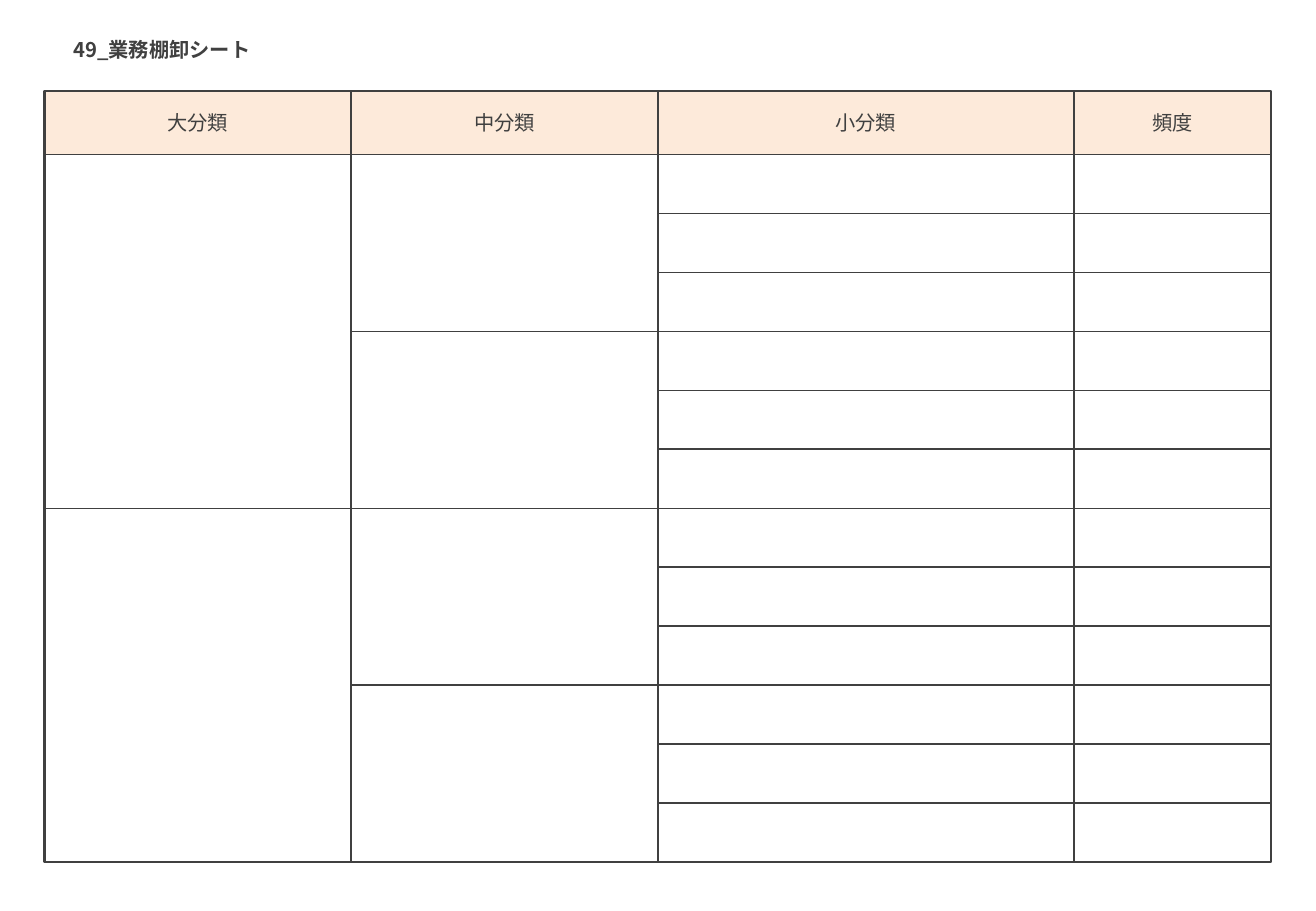
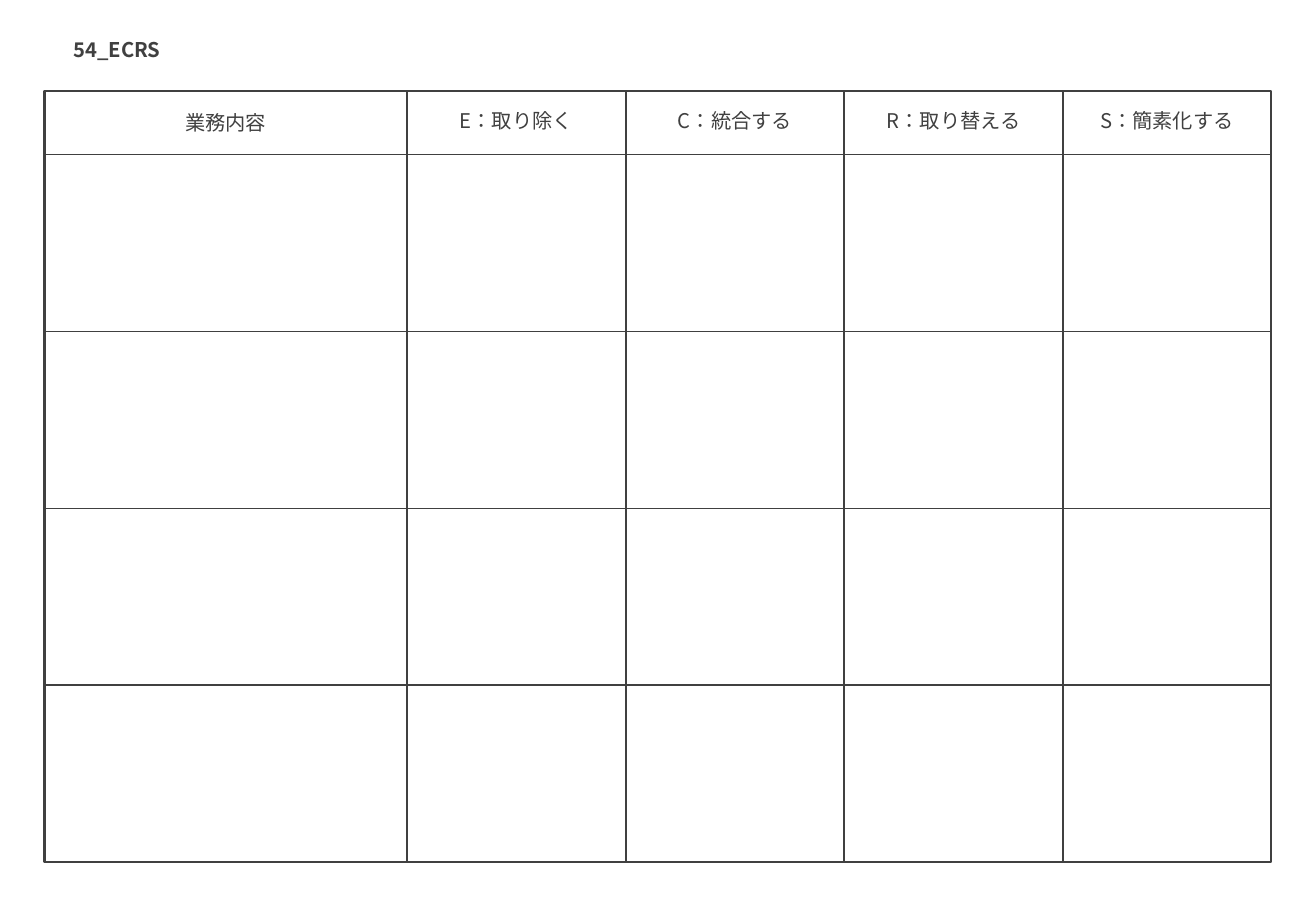
import dataclasses
import itertools

import lxml.etree
import pptx
import pptx.dml.color
import pptx.enum.lang
import pptx.enum.shapes
import pptx.enum.text
import pptx.oxml.ns
import pptx.util

Cm = pptx.util.Cm
Pt = pptx.util.Pt
qn = pptx.oxml.ns.qn

INK = pptx.dml.color.RGBColor(0x40, 0x40, 0x40)
PEACH = pptx.dml.color.RGBColor(0xFD, 0xEA, 0xDA)
FONT = "Noto Sans CJK JP"
FONT_SIZE = Pt(12)
FRAME_LINE = Pt(1.5)
GRID_LINE = Pt(1)
LEFT, TOP = 0.93, 1.9
HEADER_HEIGHT, BODY_HEIGHT = 1.33, 14.8
BODY_TOP = TOP + HEADER_HEIGHT
BOTTOM = BODY_TOP + BODY_HEIGHT
HEADING_HEIGHT = 0.8


@dataclasses.dataclass
class Column:
    """A sheet column: heading, column and heading widths in cm, rows per body cell."""

    heading: str
    width: float
    heading_width: float
    span: int = 1


TASK_COLUMNS = [
    Column("大分類", 6.41, 1.96, span=6),
    Column("中分類", 6.41, 1.96, span=3),
    Column("小分類", 8.7, 1.96),
    Column("頻度", 4.12, 1.5),
]
ECRS_COLUMNS = [
    Column("業務内容", 7.58, 2.3),
    Column("E：取り除く", 4.57, 2.92),
    Column("C：統合する", 4.57, 2.92),
    Column("R：取り替える", 4.57, 3.35),
    Column("S：簡素化する", 4.35, 3.35),
]


def style_paragraph(paragraph, alignment, bold=False):
    """Give a paragraph the shared font, size, colour and language."""
    paragraph.alignment = alignment
    font = paragraph.font
    font.name, font.size, font.bold = FONT, FONT_SIZE, bold
    font.color.rgb = INK
    latin = paragraph._p.pPr.find(qn("a:defRPr")).find(qn("a:latin"))
    latin.addnext(latin.makeelement(qn("a:ea"), {"typeface": FONT}))
    for run in paragraph.runs:
        run.font.language_id = pptx.enum.lang.MSO_LANGUAGE_ID.JAPANESE


def add_title(slide, text):
    """Place the slide title above the sheet."""
    title = slide.shapes.title
    title.left, title.top, title.width, title.height = Cm(1.28), Cm(0.66), Cm(4.4), Cm(0.76)
    frame = title.text_frame
    frame.text = text
    frame.auto_size = pptx.enum.text.MSO_AUTO_SIZE.NONE
    frame.vertical_anchor = pptx.enum.text.MSO_ANCHOR.TOP
    style_paragraph(frame.paragraphs[0], pptx.enum.text.PP_ALIGN.LEFT, bold=True)


def add_rectangle(slide, width, height, fill=None, line=None):
    """Add a plain rectangle at the sheet corner, filled or outlined."""
    shape = slide.shapes.add_shape(
        pptx.enum.shapes.MSO_SHAPE.RECTANGLE, Cm(LEFT), Cm(TOP), Cm(width), Cm(height))
    shape.shadow.inherit = False
    if fill is None:
        shape.fill.background()
    else:
        shape.fill.solid()
        shape.fill.fore_color.rgb = fill
    if line is None:
        shape.line.fill.background()
    else:
        shape.line.color.rgb = INK
        shape.line.width = line


def add_rule(slide, left, top, right, bottom):
    """Add one thin grid line."""
    rule = slide.shapes.add_connector(
        pptx.enum.shapes.MSO_CONNECTOR.STRAIGHT, Cm(left), Cm(top), Cm(right), Cm(bottom))
    rule.line.color.rgb = INK
    rule.line.width = GRID_LINE
    lxml.etree.SubElement(rule._element.spPr, qn("a:effectLst"))


def add_heading(slide, column, left):
    """Centre a heading in the header cell of its column."""
    box = slide.shapes.add_textbox(
        Cm(left + (column.width - column.heading_width) / 2),
        Cm(TOP + (HEADER_HEIGHT - HEADING_HEIGHT) / 2),
        Cm(column.heading_width), Cm(HEADING_HEIGHT))
    frame = box.text_frame
    frame.text = column.heading
    frame.word_wrap = True
    frame.vertical_anchor = pptx.enum.text.MSO_ANCHOR.MIDDLE
    paragraph = frame.paragraphs[0]
    style_paragraph(paragraph, pptx.enum.text.PP_ALIGN.CENTER)
    if "：" in column.heading:
        paragraph.line_spacing = 0.85


def add_sheet(slide, columns, row_count, header_fill):
    """Draw a worksheet whose row lines skip the columns with taller cells."""
    edges = list(itertools.accumulate((column.width for column in columns), initial=LEFT))
    right = edges[-1]
    if header_fill is not None:
        add_rectangle(slide, right - LEFT, HEADER_HEIGHT, fill=header_fill)
    for edge in edges[1:-1]:
        add_rule(slide, edge, TOP, edge, BOTTOM)
    for row in range(row_count):
        start = next(edge for edge, column in zip(edges, columns) if row % column.span == 0)
        height = BODY_TOP + row * BODY_HEIGHT / row_count
        add_rule(slide, start, height, right, height)
    for edge, column in zip(edges, columns):
        add_heading(slide, column, edge)
    add_rectangle(slide, right - LEFT, BOTTOM - TOP, line=FRAME_LINE)


def main():
    """Build the two worksheets."""
    presentation = pptx.Presentation()
    presentation.slide_width, presentation.slide_height = Cm(27.51), Cm(19.05)
    sheets = [
        ("49_業務棚卸シート", TASK_COLUMNS, 12, PEACH),
        ("54_ECRS", ECRS_COLUMNS, 4, None),
    ]
    for title, columns, row_count, header_fill in sheets:
        slide = presentation.slides.add_slide(presentation.slide_layouts[5])
        add_title(slide, title)
        add_sheet(slide, columns, row_count, header_fill)
    presentation.save("out.pptx")


if __name__ == "__main__":
    main()
